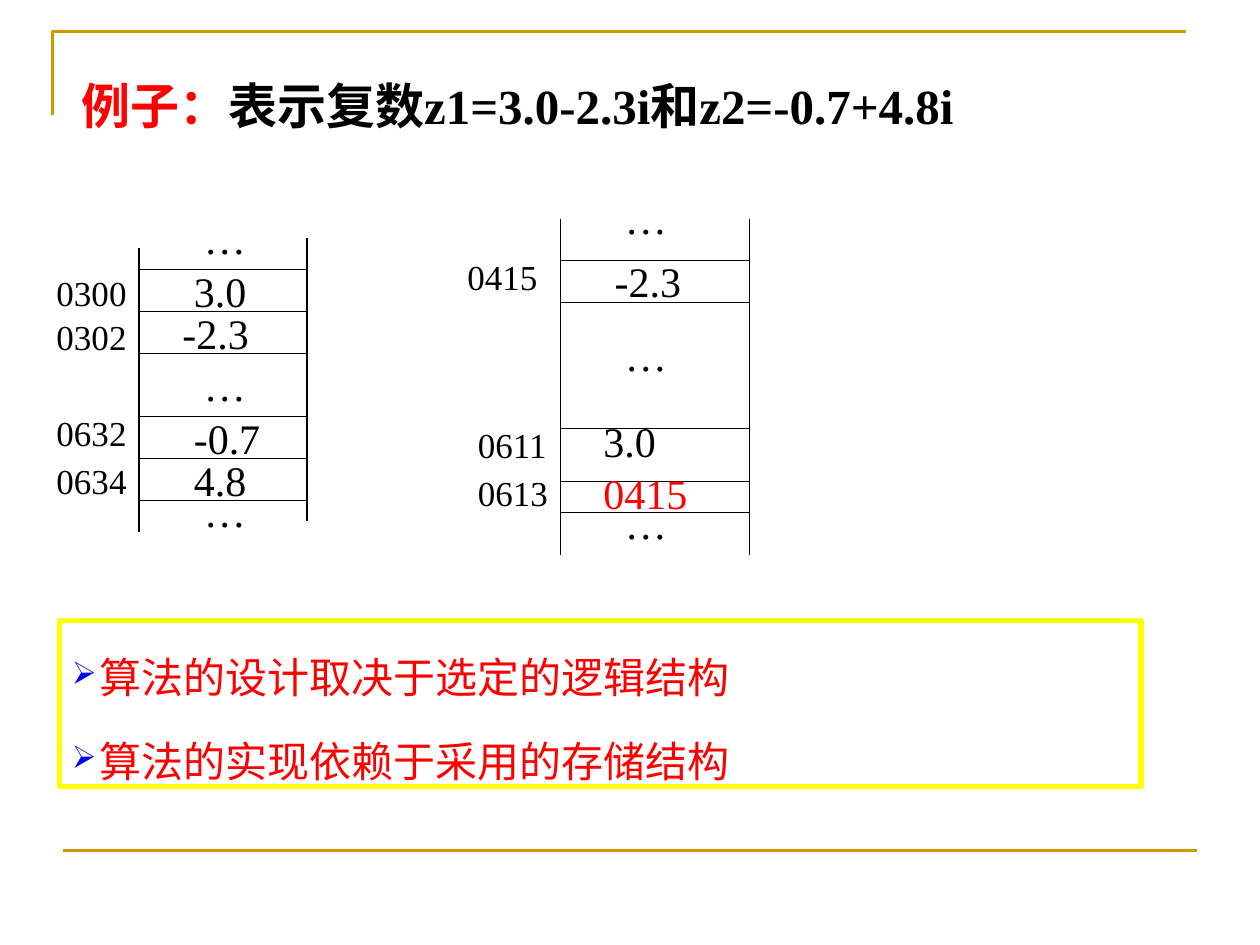
from lxml.etree import SubElement
from pptx import Presentation
from pptx.dml.color import RGBColor
from pptx.enum.shapes import MSO_CONNECTOR, MSO_SHAPE
from pptx.enum.text import MSO_ANCHOR, PP_ALIGN
from pptx.oxml.ns import qn
from pptx.util import Pt

BLACK, RED, BLUE = "000000", "FF0000", "0000FF"
GOLD, YELLOW = "CC9900", "FFFF00"


def color(value):
    return RGBColor.from_string(value)


def add_span(para, text, size=24, fill=BLACK, bold=False, font="Times New Roman"):
    span = para.add_run()
    span.text = text
    span.font.name = font
    span.font.size = Pt(size)
    span.font.bold = bold
    span.font.color.rgb = color(fill)


def add_bullet(para, mark, fill, indent):
    properties = para._p.get_or_add_pPr()
    properties.set("marL", str(Pt(indent)))
    properties.set("indent", str(-Pt(indent)))
    bullet_color = SubElement(properties, qn("a:buClr"))
    SubElement(bullet_color, qn("a:srgbClr"), val=fill)
    SubElement(properties, qn("a:buSzPct"), val="75000")
    SubElement(properties, qn("a:buChar"), char=mark)


class Slide:
    def __init__(self, deck):
        self.page = deck.slides.add_slide(deck.slide_layouts[6])
        self.shapes = self.page.shapes

    def line(self, x1, y1, x2, y2, stroke=BLACK, width=0.75):
        line = self.shapes.add_connector(
            MSO_CONNECTOR.STRAIGHT, Pt(x1), Pt(y1), Pt(x2), Pt(y2))
        line.line.color.rgb = color(stroke)
        line.line.width = Pt(width)
        SubElement(line._element.spPr, qn("a:effectLst"))

    def outline(self, shape, stroke, width):
        shape.shadow.inherit = False
        shape.fill.background()
        shape.line.color.rgb = color(stroke)
        shape.line.width = Pt(width)

    def corner(self, points, stroke, width):
        start, *rest = [(Pt(x), Pt(y)) for x, y in points]
        builder = self.shapes.build_freeform(*start)
        builder.add_line_segments(rest, close=False)
        self.outline(builder.convert_to_shape(), stroke, width)

    def text(self, left, top, width, height, paras, size=24, spacing=None, bold=False):
        box = self.shapes.add_textbox(Pt(left), Pt(top), Pt(width), Pt(height))
        frame = box.text_frame
        frame.word_wrap = True
        for index, spans in enumerate(paras):
            para = frame.paragraphs[0]
            if index:
                para = frame.add_paragraph()
                para.space_before = Pt(round(size * 0.53, 1))
            if spacing:
                para.line_spacing = spacing
            for text, fill in spans:
                add_span(para, text, size=size, fill=fill, bold=bold)

    def labels(self, left, top, width, height, words, **style):
        self.text(left, top, width, height, [[(word, BLACK)] for word in words], **style)

    def memory(self, left, right, rows, sides):
        for x, (top, bottom) in zip((left, right), sides):
            self.line(x, top, x, bottom)
        for y in rows:
            self.line(left, y, right, y)

    def bullet_panel(self, left, top, width, height, items):
        panel = self.shapes.add_shape(
            MSO_SHAPE.RECTANGLE, Pt(left), Pt(top), Pt(width), Pt(height))
        self.outline(panel, YELLOW, 3)
        frame = panel.text_frame
        frame.word_wrap = True
        frame.vertical_anchor = MSO_ANCHOR.TOP
        for index, item in enumerate(items):
            para = frame.add_paragraph() if index else frame.paragraphs[0]
            para.alignment = PP_ALIGN.JUSTIFY
            para.line_spacing = 1.5
            para.space_before = Pt(4.8)
            add_bullet(para, "➢", BLUE, 16)
            add_span(para, item, fill=RED)


def main():
    deck = Presentation()
    deck.slide_width, deck.slide_height = Pt(720), Pt(540)
    slide = Slide(deck)

    slide.corner([(30, 66), (30, 18), (678, 18)], GOLD, 1.5)
    slide.line(36, 486, 684, 486, GOLD, 1.5)
    title = [("例子：", RED), ("表示复数z1=3.0-2.3i和z2=-0.7+4.8i", BLACK)]
    slide.text(39.6, 39.6, 528, 41, [title], size=28, bold=True)

    slide.memory(79.4, 175.5, [154, 178, 202, 238, 262, 286],
                 [(142, 304), (136, 298)])
    slide.memory(320.2, 428.2, [149, 173, 245, 275, 293], [(125, 317)] * 2)

    values = [
        ("…", 109.4, 118), ("…", 109.4, 202), ("…", 109.4, 274),
        ("3.0", 103.7, 148), ("-2.3", 97.2, 172),
        ("-0.7", 103.7, 232), ("4.8", 103.7, 256),
        ("…", 350, 106.6), ("…", 350, 185), ("…", 350, 281),
        ("-2.3", 344.2, 142.6),
    ]
    for value, left, top in values:
        slide.labels(left, top, 72, 36, [value])

    slide.labels(25.2, 160, 72, 48, ["0300", "0302"], size=20, spacing=0.6)
    slide.labels(25.2, 238, 72, 52.6, ["0632", "0634"], size=20, spacing=0.7)
    slide.labels(260, 142.6, 72, 31, ["0415"], size=20)
    slide.labels(266, 245, 66, 52.6, ["0611", "0613"], size=20, spacing=0.7)
    slide.text(337.7, 244, 150, 56, [[("3.0", BLACK)], [("0415", RED)]], spacing=0.6)

    slide.bullet_panel(34, 354.4, 618, 95, [
        "算法的设计取决于选定的逻辑结构",
        "算法的实现依赖于采用的存储结构",
    ])
    deck.save("out.pptx")


if __name__ == "__main__":
    main()
